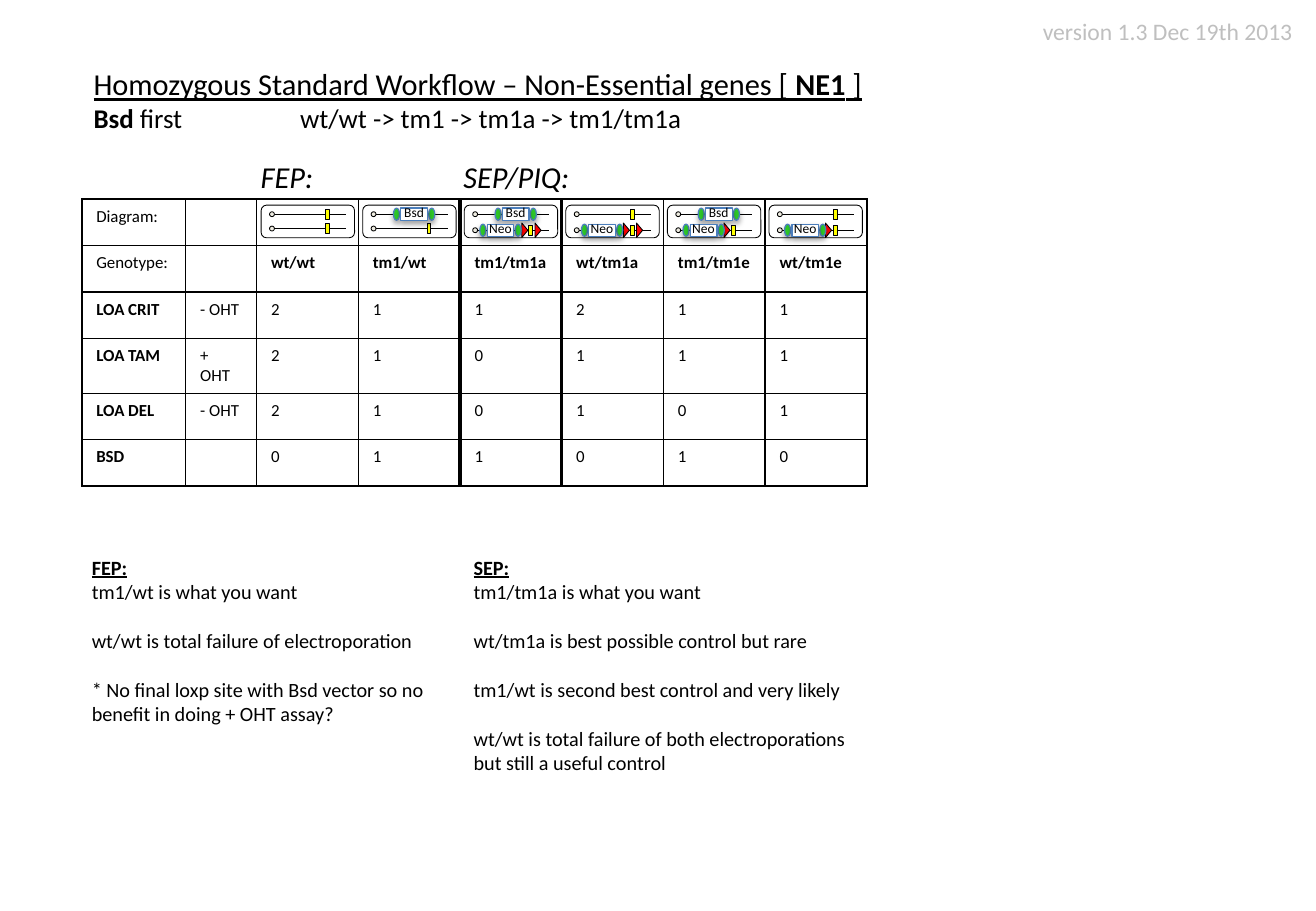
"""Build the homozygous workflow slide for non-essential genes."""
from dataclasses import dataclass

from lxml import etree
from pptx import Presentation
from pptx.dml.color import RGBColor
from pptx.enum import shapes, text
from pptx.oxml import ns
from pptx.util import Pt

BLACK = RGBColor(0x00, 0x00, 0x00)
WHITE = RGBColor(0xFF, 0xFF, 0xFF)
GREY = RGBColor(0xBF, 0xBF, 0xBF)
CREAM = RGBColor(0xEE, 0xEC, 0xE1)
YELLOW = RGBColor(0xFF, 0xFF, 0x00)
GREEN = RGBColor(0x2E, 0xC7, 0x28)
RED = RGBColor(0xFF, 0x00, 0x00)
BLUE = RGBColor(0x4B, 0x7E, 0xBC)
FONT = "Calibri"
SHAPE = shapes.MSO_SHAPE
CARD_LEFT, CARD_PITCH = 154.8, 60.2
CARD_TOP, CARD_WIDTH, CARD_HEIGHT = 121.6, 55.4, 19.4
GENE_X = 38.2
SIDE_MARGIN, TOP_MARGIN = 8.6, 4.3


@dataclass(frozen=True)
class Span:
    """A run of text with its emphasis."""
    words: str
    bold: bool = False
    italic: bool = False
    underline: bool = False


@dataclass(frozen=True)
class Line:
    """A paragraph with its size, space before and tab stop."""
    spans: tuple[Span, ...]
    size: float
    before: float = 0
    tab: float = 0


@dataclass(frozen=True)
class Strand:
    """One allele: offsets are measured from the left of its card."""
    y: float
    gene: bool = True
    cassette: str = ""
    cassette_x: float = 0
    loxp: tuple[float, ...] = ()


def add_xml(parent, tag: str, **attributes):
    """Append a DrawingML element and return it."""
    return etree.SubElement(parent, ns.qn(tag), {k: str(v) for k, v in attributes.items()})


def write_run(paragraph, span: Span, size: float, colour: RGBColor) -> None:
    """Add one formatted run."""
    run = paragraph.add_run()
    run.text = span.words
    font = run.font
    font.name, font.size = FONT, Pt(size)
    font.bold, font.italic, font.underline = span.bold, span.italic, span.underline
    font.color.rgb = colour


def write_text(canvas, left: float, top: float, width: float, height: float,
               lines: list[Line], colour: RGBColor = BLACK):
    """Add a wrapped text box and return its frame."""
    frame = canvas.add_textbox(Pt(left), Pt(top), Pt(width), Pt(height)).text_frame
    frame.word_wrap = True
    for number, line in enumerate(lines):
        paragraph = frame.add_paragraph() if number else frame.paragraphs[0]
        paragraph.space_before = Pt(line.before)
        if line.tab:
            stops = add_xml(paragraph._p.get_or_add_pPr(), "a:tabLst")
            add_xml(stops, "a:tab", pos=Pt(line.tab), algn="l")
        for span in line.spans:
            write_run(paragraph, span, line.size, colour)
    return frame


def draw_part(canvas, preset, left: float, middle: float, width: float, height: float,
              fill: RGBColor | None, edge: RGBColor = BLACK, weight: float = 0.5,
              raised: bool = False):
    """Draw a preset shape centred on a height, with a soft shadow when raised."""
    part = canvas.add_shape(preset, Pt(left), Pt(middle - height / 2), Pt(width), Pt(height))
    part.shadow.inherit = False
    if fill is None:
        part.fill.background()
    else:
        part.fill.solid()
        part.fill.fore_color.rgb = fill
    part.line.color.rgb = edge
    part.line.width = Pt(weight)
    if raised:
        effects = part._element.spPr.find(ns.qn("a:effectLst"))
        shadow = add_xml(effects, "a:outerShdw", blurRad=Pt(3.1), dist=Pt(1.8),
                         dir=5400000, rotWithShape=0)
        add_xml(add_xml(shadow, "a:srgbClr", val=BLACK), "a:alpha", val=35000)
    return part


def draw_strand(canvas, left: float, strand: Strand) -> None:
    """Draw an allele with its gene, loxp sites and cassette."""
    y = strand.y
    dna = canvas.add_connector(shapes.MSO_CONNECTOR.STRAIGHT, Pt(left + 8), Pt(y),
                               Pt(left + 50.3), Pt(y))
    dna.line.color.rgb = BLACK
    dna.line.width = Pt(0.5)
    add_xml(dna._element.spPr, "a:effectLst")
    draw_part(canvas, SHAPE.OVAL, left + 5, y, 2.9, 2.9, CREAM)
    if strand.gene:
        draw_part(canvas, SHAPE.RECTANGLE, left + GENE_X, y, 2.2, 5.8, YELLOW)
    for site in strand.loxp:
        draw_part(canvas, SHAPE.ISOSCELES_TRIANGLE, left + site, y, 8.6, 3.6, RED).rotation = 90
    if strand.cassette:
        start = left + strand.cassette_x
        for x in (start, start + 20.9):
            draw_part(canvas, SHAPE.OVAL, x, y, 3.6, 7.2, GREEN, BLUE, 0.75, True)
        draw_part(canvas, SHAPE.RECTANGLE, start + 4.4, y, 15.8, 7.2, WHITE, BLUE, 0.75, True)
        frame = write_text(canvas, start - 1, y - 9.4, 26.4, 17.3,
                           [Line((Span(strand.cassette),), 8)])
        frame.margin_left = frame.margin_right = 0
        frame.paragraphs[0].alignment = text.PP_ALIGN.CENTER


def style_cell(cell, words: str, bold: bool, left_edge: float, right_edge: float) -> None:
    """Fill in one table cell and draw its four borders."""
    cell.margin_left = cell.margin_right = Pt(SIDE_MARGIN)
    cell.margin_top = cell.margin_bottom = Pt(TOP_MARGIN)
    properties = cell._tc.get_or_add_tcPr()
    for side, weight in zip("LRTB", (left_edge, right_edge, 1, 1)):
        border = add_xml(properties, f"a:ln{side}", w=Pt(weight))
        add_xml(add_xml(border, "a:solidFill"), "a:srgbClr", val=BLACK)
    cell.fill.background()
    paragraph = cell.text_frame.paragraphs[0]
    if words:
        write_run(paragraph, Span(words, bold), 10, BLACK)
    else:
        add_xml(paragraph._p, "a:endParaRPr", sz=1000)


def draw_table(canvas, rows: list[list[str]], widths: list[float]) -> None:
    """Draw the assay table with the wanted genotype in heavy rules."""
    wanted = rows[1].index("tm1/tm1a")
    table = canvas.add_table(len(rows), len(widths), Pt(48.5), Pt(118), Pt(sum(widths)),
                             Pt(27.5 * len(rows))).table
    table.first_row = table.horz_banding = False
    for column, width in zip(table.columns, widths):
        column.width = Pt(width)
    for r, row in enumerate(rows):
        table.rows[r].height = Pt(27.5)
        for c, words in enumerate(row):
            bold = (r == 1 and c > 1) or (r > 1 and c == 0)
            left_edge, right_edge = (2.25 if edge in (wanted, wanted + 1) else 1
                                     for edge in (c, c + 1))
            style_cell(table.cell(r, c), words, bold, left_edge, right_edge)


def note_lines(heading: str, first: str, *others: str) -> list[Line]:
    """Return an underlined heading followed by spaced notes."""
    return [Line((Span(heading, bold=True, underline=True),), 12), Line((Span(first),), 12),
            *(Line((Span(note),), 12, before=14.6) for note in others)]


ROWS = [
    ["Diagram:"] + [""] * 7,
    ["Genotype:", "", "wt/wt", "tm1/wt", "tm1/tm1a", "wt/tm1a", "tm1/tm1e", "wt/tm1e"],
    ["LOA CRIT", "- OHT", *"211211"],
    ["LOA TAM", "+ OHT", *"210111"],
    ["LOA DEL", "- OHT", *"210101"],
    ["BSD", "", *"011010"],
]
UPPER, LOWER, NEO_Y = 127, 135.5, 136.5
WT = Strand(UPPER)
LOWER_WT = Strand(LOWER)
TM1 = Strand(UPPER, gene=False, cassette="Bsd", cassette_x=18.2)
TM1A = Strand(NEO_Y, cassette="Neo", cassette_x=9.2, loxp=(39.4, 31.6))
TM1E = Strand(NEO_Y, cassette="Neo", cassette_x=9.2, loxp=(31,))
DIAGRAMS = [(WT, LOWER_WT), (LOWER_WT, TM1), (TM1, TM1A), (WT, TM1A), (TM1, TM1E), (WT, TM1E)]

deck = Presentation()
deck.slide_width, deck.slide_height = Pt(780), Pt(540)
canvas = deck.slides.add_slide(deck.slide_layouts[6]).shapes

write_text(canvas, 48.4, 35.3, 476, 48, [
    Line((Span("Homozygous Standard Workflow – Non-Essential genes [ ", underline=True),
          Span("NE1", bold=True, underline=True), Span(" ]", underline=True)), 18),
    Line((Span("Bsd", bold=True), Span(" first\twt/wt -> tm1 -> tm1a -> tm1/tm1a")), 16, tab=122.4),
])
draw_table(canvas, ROWS, [61.6, 42] + [60.3] * 6)
for heading, left, width in (("FEP:", 147.4, 60), ("SEP/PIQ:", 267.6, 90)):
    write_text(canvas, left, 90, width, 29, [Line((Span(heading, italic=True),), 18)])
for number, strands in enumerate(DIAGRAMS):
    card_left = CARD_LEFT + number * CARD_PITCH
    diagram = canvas.add_group_shape().shapes
    draw_part(diagram, SHAPE.ROUNDED_RECTANGLE, card_left, CARD_TOP + CARD_HEIGHT / 2,
              CARD_WIDTH, CARD_HEIGHT, None)
    for strand in strands:
        draw_strand(diagram, card_left, strand)
write_text(canvas, 47.3, 325.4, 237, 109, note_lines(
    "FEP:", "tm1/wt is what you want", "wt/wt is total failure of electroporation",
    "* No final loxp site with Bsd vector so no benefit in doing + OHT assay?"))
write_text(canvas, 273.6, 325.4, 242, 138, note_lines(
    "SEP:", "tm1/tm1a is what you want", "wt/tm1a is best possible control but rare",
    "tm1/wt is second best control and very likely",
    "wt/wt is total failure of both electroporations but still a useful control"))
write_text(canvas, 611, 6.5, 169, 24.5, [Line((Span("version 1.3 Dec 19th 2013"),), 14)], GREY)

deck.save("out.pptx")
